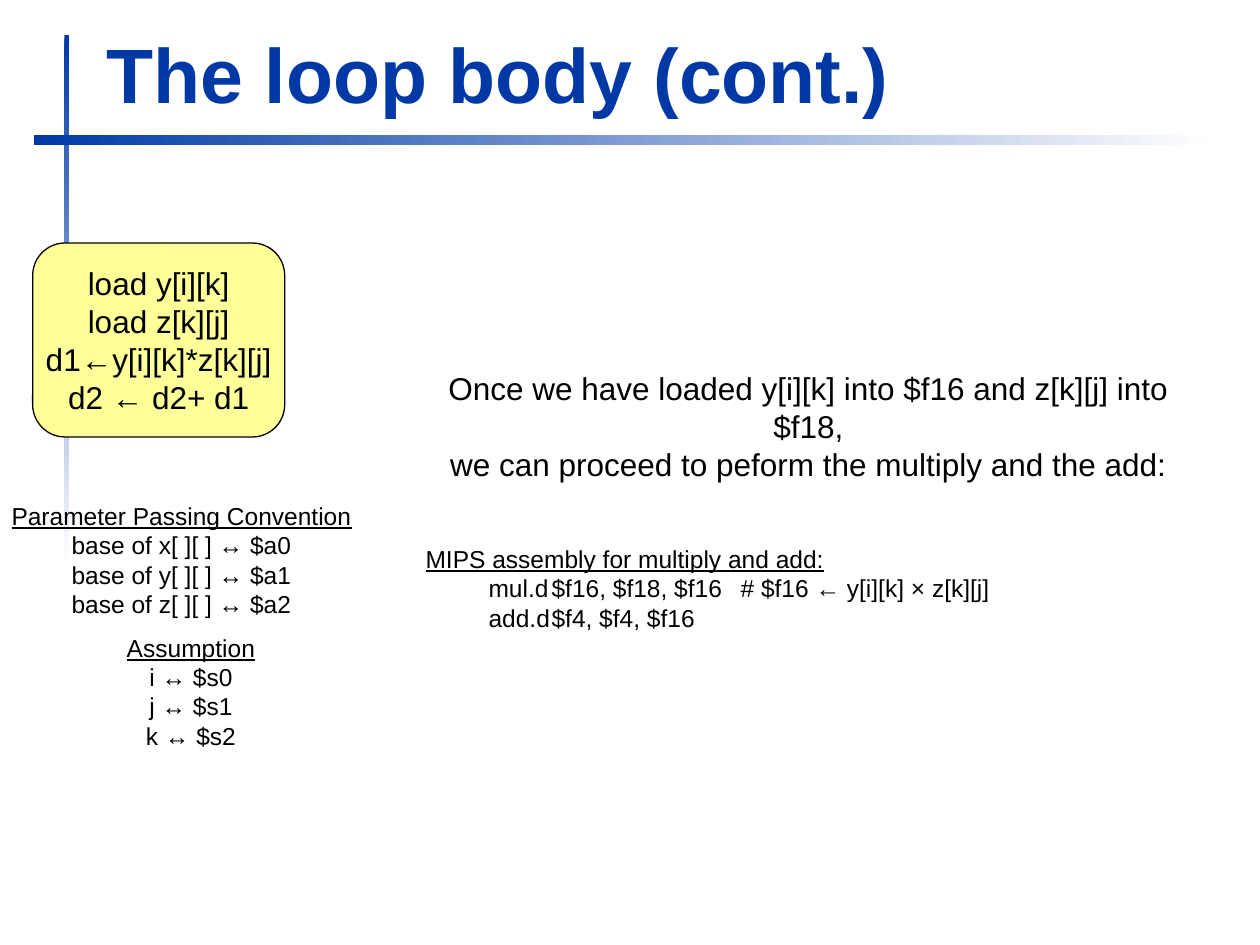
"""Build the slide on the multiply and add steps of the loop body."""
from dataclasses import dataclass
from typing import Any, Optional

from pptx import Presentation
from pptx import util as u
from pptx.dml.color import RGBColor
from pptx.enum import shapes, text

BLUE = RGBColor(0x00, 0x39, 0xA6)
WHITE = RGBColor(0xFF, 0xFF, 0xFF)
BLACK = RGBColor(0x00, 0x00, 0x00)
YELLOW = RGBColor(0xFF, 0xFF, 0x99)
FIT = text.MSO_AUTO_SIZE.SHAPE_TO_FIT_TEXT
FIXED = text.MSO_AUTO_SIZE.NONE


@dataclass(frozen=True)
class Box:
    left: float
    top: float
    width: float
    height: float

    def lengths(self) -> list[u.Cm]:
        return [u.Cm(value) for value in (self.left, self.top, self.width, self.height)]


@dataclass(frozen=True)
class Bar:
    box: Box
    angle: int


@dataclass(frozen=True)
class Note:
    box: Box
    lines: tuple[str, ...]
    size: int
    heading: bool = False
    centred: bool = True
    wrap: bool = False
    preset: Optional[shapes.MSO_SHAPE] = None
    fill: RGBColor = WHITE
    outlined: bool = False
    auto_size: text.MSO_AUTO_SIZE = FIT


BARS = (
    Bar(Box(1.3, 0.71, 0.1, 10.59), 270),
    Bar(Box(0.69, 2.72, 23.8, 0.2), 0),
)
REGISTER_NOTES = (
    Note(Box(-0.05, 9.96, 7.42, 2.64),
         ("Parameter Passing Convention", "base of x[ ][ ] ↔ $a0",
          "base of y[ ][ ] ↔ $a1", "base of z[ ][ ] ↔ $a2"), 14, heading=True),
    Note(Box(2.29, 12.62, 3.12, 2.64),
         ("Assumption", "i ↔ $s0", "j ↔ $s1", "k ↔ $s2"), 14, heading=True),
)
BODY_NOTES = (
    Note(Box(0.66, 4.9, 5.08, 3.91),
         ("load y[i][k]", "load z[k][j]", "d1←y[i][k]*z[k][j]", "d2 ← d2+ d1"), 18,
         preset=shapes.MSO_SHAPE.ROUNDED_RECTANGLE, fill=YELLOW, outlined=True,
         auto_size=FIXED),
    Note(Box(8.33, 10.82, 15.93, 2.06),
         ("MIPS assembly for multiply and add:",
          "\tmul.d\t$f16, $f18, $f16\t# $f16 ← y[i][k] × z[k][j]",
          "\tadd.d\t$f4, $f4, $f16"), 14, heading=True, centred=False, wrap=True,
         preset=shapes.MSO_SHAPE.RECTANGLE),
    Note(Box(8, 7.7, 16.59, 1.78),
         ("Once we have loaded y[i][k] into $f16 and z[k][j] into $f18,",
          "we can proceed to peform the multiply and the add:"), 18),
)


def apply_format(target: Any, values: dict[str, Any]) -> None:
    for name, value in values.items():
        setattr(target, name, value)


def format_font(font: Any, size: int, colour: RGBColor, **values: Any) -> None:
    apply_format(font, {"name": "Arial", "size": u.Pt(size), **values})
    font.color.rgb = colour


def set_title(title: Any, words: str) -> None:
    names = ("left", "top", "width", "height")
    apply_format(title, dict(zip(names, Box(1.9, 0.41, 22.94, 2.11).lengths())))
    frame = title.text_frame
    frame.text = words
    apply_format(frame, {"vertical_anchor": text.MSO_ANCHOR.BOTTOM, "auto_size": FIXED})
    paragraph = frame.paragraphs[0]
    paragraph.alignment = text.PP_ALIGN.LEFT
    format_font(paragraph.runs[0].font, 44, BLUE, bold=True)


def draw_bar(container: Any, bar: Bar) -> None:
    shape = container.add_shape(shapes.MSO_SHAPE.RECTANGLE, *bar.box.lengths())
    shape.shadow.inherit = False
    shape.line.fill.background()
    shape.fill.gradient()
    shape.fill.gradient_angle = bar.angle
    for stop, colour in zip(shape.fill.gradient_stops, (BLUE, WHITE)):
        stop.color.rgb = colour


def draw_note(container: Any, note: Note) -> None:
    if note.preset is None:
        shape = container.add_textbox(*note.box.lengths())
    else:
        shape = container.add_shape(note.preset, *note.box.lengths())
        shape.shadow.inherit = False
        shape.fill.solid()
        shape.fill.fore_color.rgb = note.fill
        if note.outlined:
            shape.line.color.rgb = BLACK
            shape.line.width = u.Pt(0.75)
        else:
            shape.line.fill.background()
    frame = shape.text_frame
    apply_format(frame, {"text": "\n".join(note.lines), "word_wrap": note.wrap,
                         "auto_size": note.auto_size,
                         "vertical_anchor": text.MSO_ANCHOR.MIDDLE})
    alignment = text.PP_ALIGN.CENTER if note.centred else text.PP_ALIGN.LEFT
    for index, paragraph in enumerate(frame.paragraphs):
        paragraph.alignment = alignment
        format_font(paragraph.runs[0].font, note.size, BLACK,
                    underline=note.heading and index == 0)


def main() -> None:
    presentation = Presentation()
    apply_format(presentation, {"slide_width": u.Cm(25.4), "slide_height": u.Cm(19.05)})
    slide = presentation.slides.add_slide(presentation.slide_layouts[5])
    set_title(slide.shapes.title, "The loop body (cont.)")
    for bar in BARS:
        draw_bar(slide.shapes, bar)
    group = slide.shapes.add_group_shape()
    for note in REGISTER_NOTES:
        draw_note(group.shapes, note)
    for note in BODY_NOTES:
        draw_note(slide.shapes, note)
    presentation.save("out.pptx")


if __name__ == "__main__":
    main()
